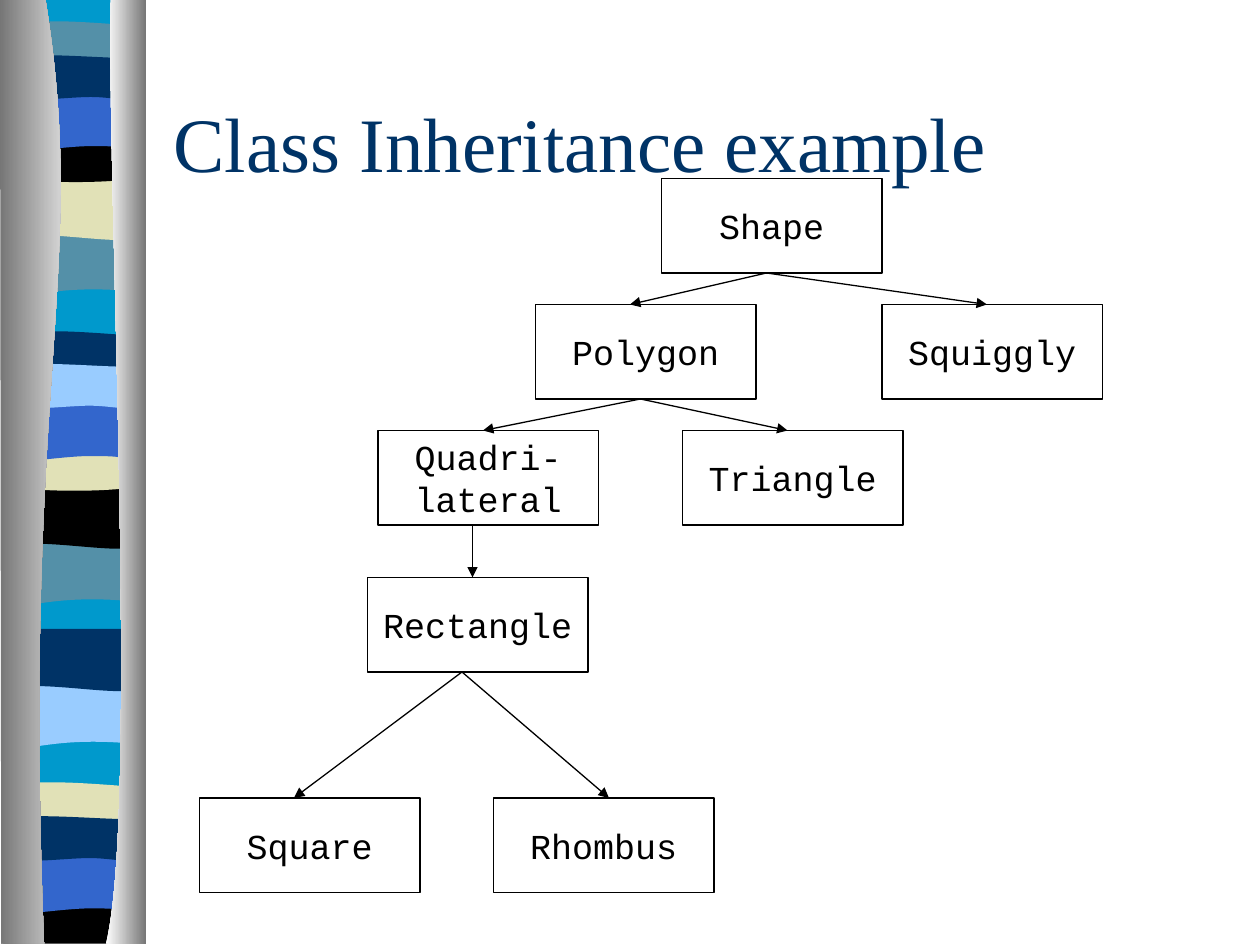
from lxml.etree import SubElement
from pptx import Presentation
from pptx.dml.color import RGBColor
from pptx.enum.shapes import MSO_CONNECTOR, MSO_SHAPE
from pptx.enum.text import MSO_ANCHOR, PP_ALIGN
from pptx.oxml.ns import qn
from pptx.util import Inches, Pt

GRID = Inches(1) // 12
BOX_COLUMNS, BOX_ROWS = 21, 9
OUTLINE_TOP = -0.01

BOWL_TOP = (0.66, 0.05, 0.85, 0, 1.08, 0)
BANDS = {
    "ripple": [(1.08, 0), (1.08, 0.47), (0.33, 0.39, 0.18, 0.55, 0, 0.47), (0, 0)],
    "swell": [(1.08, 0), (1.08, 0.47), (0.9, 0.55, 0.33, 0.41, 0, 0.47), (0, 0)],
    "strip": [(1.08, 0.05), (1.08, 0.29), (0.9, 0.33, 0.18, 0.33, 0, 0.29), (0, 0.05),
              (0.06, 0, 0.23, 0.01, 0.41, 0.01), (0.59, 0.01, 0.94, 0.04, 1.08, 0.05)],
    "bowl": [(1.08, 0), (1.08, 0.32), (0.9, 0.38, 0.18, 0.38, 0, 0.32), (0, 0), BOWL_TOP],
    "base": [(1.08, 0), (1.08, 0.37), (0, 0.37), (0, 0), BOWL_TOP],
    "crest": [(1.08, 0), (1.08, 0.47), (0.91, 0.42, 0.84, 0.42, 0.66, 0.42),
              (0.48, 0.42, 0.16, 0.47, 0, 0.47), (0, 0)],
    "ridge": [(1.08, 0.05), (1.08, 0.36), (1.01, 0.41, 0.84, 0.36, 0.66, 0.36),
              (0.48, 0.36, 0.11, 0.41, 0, 0.36), (0, 0.05),
              (0.15, 0, 0.73, 0.05, 0.91, 0.05), (1.09, 0.05, 1.04, 0.05, 1.08, 0.05)],
}
STRIPES = [
    (0.06, [("ripple", 1.85, "5490A8"), ("swell", 1.41, "E1E1B7"),
            ("strip", 0.16, "5490A8"), ("bowl", 1.08, "000000"),
            ("crest", 0.74, "3366CC"), ("ridge", 0.41, "003366")]),
    (0.05, [("ripple", 4.31, "5490A8"), ("swell", 3.86, "000000"),
            ("strip", 2.62, "003366"), ("bowl", 3.53, "E1E1B7"),
            ("crest", 3.2, "3366CC"), ("ridge", 2.86, "99CCFF")]),
    (0.06, [("ripple", 5.44, "99CCFF"), ("swell", 4.99, "003366")]),
    (0.05, [("strip", 6.2, "E1E1B7"), ("base", 7.12, "000000"),
            ("crest", 6.79, "3366CC"), ("ridge", 6.45, "003366")]),
]
BACKDROP = [(1.08, 0), (1.08, 7.48), (0, 7.48), (0, 0)]
PILLARS = [
    ([(0.36, 0), (0.71, 2.17, 0.17, 2.97, 0.35, 7.5), (0.01, 7.5), (0, 0)],
     ("767676", "FFFFFF")),
    ([(0.88, 0), (0.84, 1.26, 1.11, 6.47, 0.84, 7.5), (1.16, 7.5), (1.16, 0.01)],
     ("FFFFFF", "767676")),
]

CLASSES = {
    "Shape": (63, 17), "Polygon": (51, 29), "Squiggly": (84, 29),
    "Quadri-\nlateral": (36, 41), "Triangle": (65, 41), "Rectangle": (35, 55),
    "Square": (19, 76), "Rhombus": (47, 76),
}
INHERITANCE = [
    ("Shape", 10, "Polygon", 9), ("Shape", 10, "Squiggly", 10),
    ("Polygon", 10, "Quadri-\nlateral", 10), ("Polygon", 10, "Triangle", 10),
    ("Quadri-\nlateral", 9, "Rectangle", 10),
    ("Rectangle", 9, "Square", 9), ("Rectangle", 9, "Rhombus", 11),
]
TITLE_FONT = {"name": "Times New Roman", "size": Pt(44)}
CLASS_FONT = {"name": "Courier New", "size": Pt(20)}


def colour(value):
    return RGBColor.from_string(value)


def apply_format(target, values):
    for name, value in values.items():
        setattr(target, name, value)


def write_text(shape, text, font, ink, align, wrap):
    frame = shape.text_frame
    apply_format(frame, {"text": text, "word_wrap": wrap,
                         "vertical_anchor": MSO_ANCHOR.MIDDLE})
    for para in frame.paragraphs:
        para.alignment = align
        for span in para.runs:
            apply_format(span.font, font)
            span.font.color.rgb = colour(ink)


def set_line(shape):
    shape.line.color.rgb = colour("000000")
    shape.line.width = Pt(0.75)


def bend_curves(shape, outline):
    segments = iter(list(shape._element.iter(qn("a:lnTo"))))
    for step in outline[1:]:
        first = next(segments)
        if len(step) == 6:
            first.tag = qn("a:cubicBezTo")
            for other in (next(segments), next(segments)):
                first.append(other[0])
                other.getparent().remove(other)


def add_outline(page, outline, left, top, fills):
    points = [(Inches(left + step[index]), Inches(top + step[index + 1]))
              for step in outline for index in range(0, len(step), 2)]
    builder = page.shapes.build_freeform(*points[0], scale=1.0)
    builder.add_line_segments(points[1:], close=True)
    shape = builder.convert_to_shape()
    bend_curves(shape, outline)
    shape.shadow.inherit = False
    shape.line.fill.background()
    if len(fills) == 1:
        shape.fill.solid()
        shape.fill.fore_color.rgb = colour(fills[0])
        return
    shape.fill.gradient()
    shape.fill.gradient_angle = 0
    for stop, value in zip(shape.fill.gradient_stops, fills):
        stop.color.rgb = colour(value)


def add_ribbon(page):
    add_outline(page, BACKDROP, 0.06, OUTLINE_TOP, ["0099CC"])
    for left, bands in STRIPES:
        for kind, top, fill in bands:
            add_outline(page, BANDS[kind], left, top, [fill])
    for outline, fills in PILLARS:
        add_outline(page, outline, 0, OUTLINE_TOP, fills)


def add_title(page, deck, text):
    wide, high = deck.slide_width, deck.slide_height
    box = page.shapes.add_textbox(int(wide * 0.128), high // 15, int(wide * 0.85), high // 6)
    write_text(box, text, TITLE_FONT, "003366", PP_ALIGN.LEFT, True)


def add_class(page, name, column, row):
    box = page.shapes.add_shape(MSO_SHAPE.RECTANGLE, column * GRID, row * GRID,
                                BOX_COLUMNS * GRID, BOX_ROWS * GRID)
    box.shadow.inherit = False
    box.fill.solid()
    box.fill.fore_color.rgb = colour("FFFFFF")
    set_line(box)
    write_text(box, name, CLASS_FONT, "000000", PP_ALIGN.CENTER, False)


def add_arrow(page, parent, parent_offset, child, child_offset):
    start_column, start_row = CLASSES[parent]
    end_column, end_row = CLASSES[child]
    arrow = page.shapes.add_connector(
        MSO_CONNECTOR.STRAIGHT,
        (start_column + parent_offset) * GRID, (start_row + BOX_ROWS) * GRID,
        (end_column + child_offset) * GRID, end_row * GRID)
    set_line(arrow)
    SubElement(arrow.line._get_or_add_ln(), qn("a:tailEnd"), type="triangle")
    SubElement(arrow._element.spPr, qn("a:effectLst"))


def main():
    deck = Presentation()
    apply_format(deck, {"slide_width": Inches(10), "slide_height": Inches(7.5)})
    page = deck.slides.add_slide(deck.slide_layouts[6])
    add_ribbon(page)
    add_title(page, deck, "Class Inheritance example")
    for name, (column, row) in CLASSES.items():
        add_class(page, name, column, row)
    for link in INHERITANCE:
        add_arrow(page, *link)
    deck.save("out.pptx")


if __name__ == "__main__":
    main()
